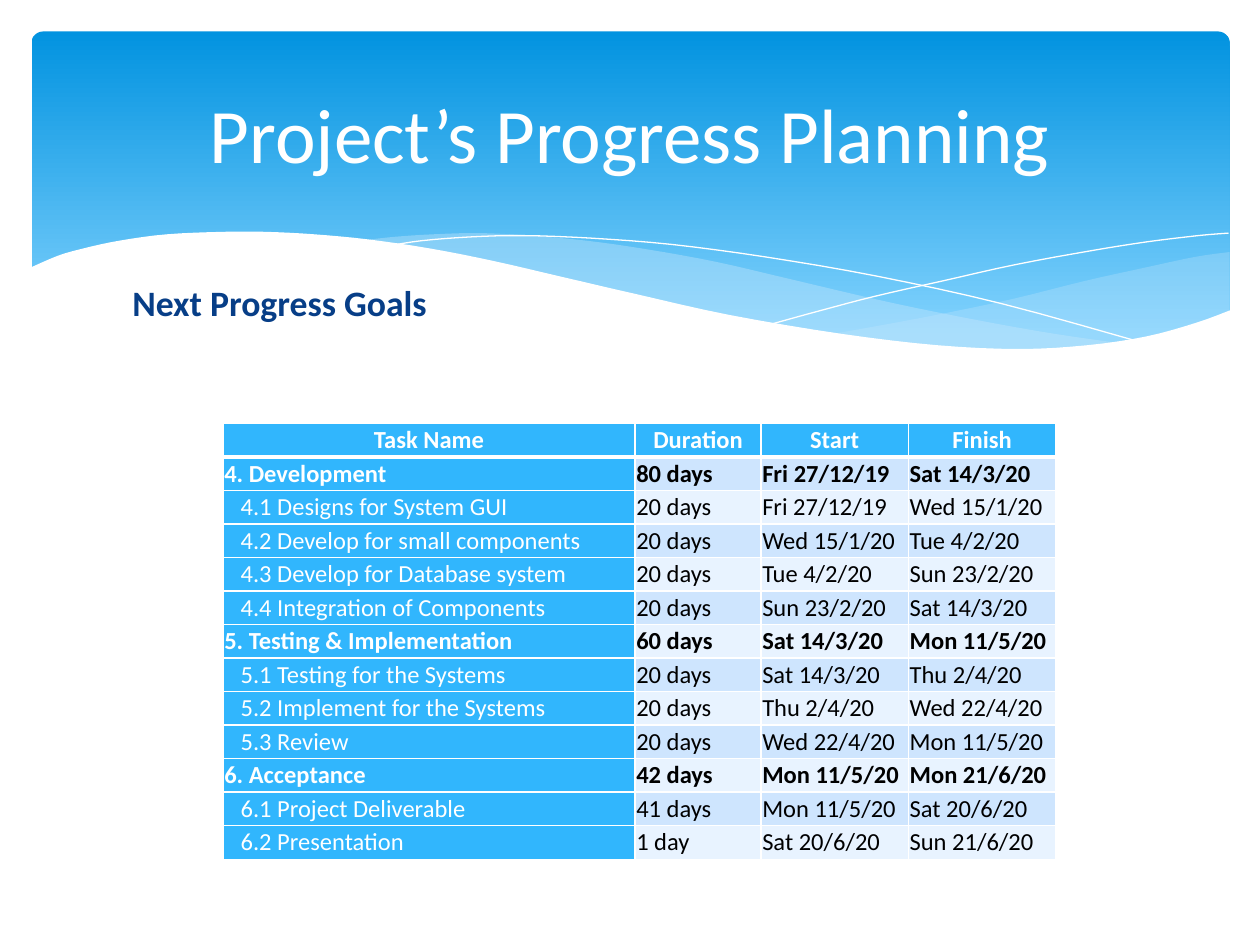
from dataclasses import dataclass
from typing import NamedTuple, Optional

from lxml.etree import SubElement
from pptx import Presentation
from pptx.dml.color import RGBColor
from pptx.enum.shapes import MSO_SHAPE as Preset
from pptx.enum.text import MSO_ANCHOR as Anchor, MSO_AUTO_SIZE as AutoSize, PP_ALIGN as Align
from pptx.oxml.ns import qn
from pptx.util import Inches, Pt

FONT = "Calibri"
COLORS = {
    "white": "FFFFFF", "black": "000000", "navy": "073E87", "accent": "31B6FD",
    "band_dark": "CEE5FE", "band_light": "E8F3FF",
    "sky_top": "0293E0", "sky_bottom": "83D3FE", "wave": "C6E7FC",
}
Point = tuple[float, float]


@dataclass
class Wave:
    """Smooth curves joined by straight edges; filled waves are closed."""
    curves: list[list[Point]]
    fill: Optional[str] = None
    alpha: int = 100


class Task(NamedTuple):
    name: str
    duration: str
    start: str
    finish: str
    is_phase: bool = False


WAVES = [
    Wave([[(9.76, 2), (9.48, 2.04), (9.06, 2.13), (8.61, 2.23), (8.05, 2.37),
           (7.53, 2.48), (7.06, 2.57), (6.61, 2.65)],
          [(6.61, 2.65), (7.05, 2.71), (7.45, 2.75), (7.81, 2.77), (8.14, 2.78),
           (8.54, 2.76), (8.89, 2.72), (9.21, 2.65), (9.49, 2.57), (9.76, 2.47)]],
         "wave", 29),
    Wave([[(8.93, 2.73), (8.37, 2.65), (7.75, 2.54), (7.06, 2.4), (6.29, 2.22),
           (5.69, 2.08), (5.14, 1.98), (4.65, 1.91), (4.2, 1.87), (3.8, 1.85),
           (3.44, 1.86), (3.13, 1.88), (2.86, 1.91)],
          [(2.86, 1.91), (3.42, 1.99), (4.04, 2.11), (4.49, 2.22), (5.3, 2.4),
           (6.01, 2.55), (6.5, 2.64), (6.95, 2.7), (7.36, 2.75), (7.73, 2.77),
           (8.07, 2.78), (8.48, 2.77), (8.93, 2.73)]],
         "wave", 40),
    Wave([[(3.09, 1.95), (3.35, 1.91), (3.74, 1.88), (4.16, 1.87), (4.69, 1.89),
           (5.33, 1.94), (6.08, 2.04), (6.95, 2.19), (7.95, 2.41), (9.07, 2.72)]]),
    Wave([[(6.13, 2.57), (6.53, 2.46), (6.95, 2.35), (7.48, 2.23), (8.06, 2.1),
           (8.66, 1.99), (9.1, 1.92), (9.51, 1.87), (9.75, 1.85)]]),
    Wave([[(9.77, 2.46), (9.5, 2.56), (9.1, 2.67), (8.63, 2.74), (8.09, 2.77),
           (7.44, 2.74), (6.68, 2.65), (5.79, 2.5), (5.03, 2.33), (4.47, 2.2),
           (3.91, 2.07), (3.4, 1.97), (2.92, 1.9), (2.5, 1.86), (2.11, 1.84),
           (1.77, 1.84), (1.32, 1.86), (0.95, 1.91), (0.67, 1.97), (0.46, 2.03),
           (0.23, 2.13)],
          [(0.23, 3.29), (9.77, 3.29)]],
         "white"),
]

HEADINGS = Task("Task Name", "Duration", "Start", "Finish", True)
TASKS = [
    Task("4. Development", "80 days", "Fri 27/12/19", "Sat 14/3/20", True),
    Task("4.1 Designs for System GUI", "20 days", "Fri 27/12/19", "Wed 15/1/20"),
    Task("4.2 Develop for small components", "20 days", "Wed 15/1/20", "Tue 4/2/20"),
    Task("4.3 Develop for Database system", "20 days", "Tue 4/2/20", "Sun 23/2/20"),
    Task("4.4 Integration of Components", "20 days", "Sun 23/2/20", "Sat 14/3/20"),
    Task("5. Testing & Implementation", "60 days", "Sat 14/3/20", "Mon 11/5/20", True),
    Task("5.1 Testing for the Systems", "20 days", "Sat 14/3/20", "Thu 2/4/20"),
    Task("5.2 Implement for the Systems", "20 days", "Thu 2/4/20", "Wed 22/4/20"),
    Task("5.3 Review", "20 days", "Wed 22/4/20", "Mon 11/5/20"),
    Task("6. Acceptance", "42 days", "Mon 11/5/20", "Mon 21/6/20", True),
    Task("6.1 Project Deliverable", "41 days", "Mon 11/5/20", "Sat 20/6/20"),
    Task("6.2 Presentation", "1 day", "Sat 20/6/20", "Sun 21/6/20"),
]
COLUMN_WIDTHS = [3.27, 1, 1.17, 1.17]


def color(name: str) -> RGBColor:
    return RGBColor.from_string(COLORS[name])


def smooth(knots: list[Point], steps: int = 4) -> list[Point]:
    """Points of a Catmull-Rom curve through the knots."""
    if len(knots) < 3:
        return knots
    padded = [knots[0], *knots, knots[-1]]
    points = [knots[0]]
    for a, b, c, d in zip(padded, padded[1:], padded[2:], padded[3:]):
        for step in range(1, steps + 1):
            t = step / steps
            x, y = (0.5 * (2 * q + (r - p) * t + (2 * p - 5 * q + 4 * r - s) * t ** 2
                           + (3 * q - p - 3 * r + s) * t ** 3)
                    for p, q, r, s in zip(a, b, c, d))
            points.append((x, y))
    return points


def draw_wave(page, wave: Wave) -> None:
    points = [(Inches(x), Inches(y)) for curve in wave.curves for x, y in smooth(curve)]
    builder = page.shapes.build_freeform(*points[0])
    builder.add_line_segments(points[1:], close=wave.fill is not None)
    shape = builder.convert_to_shape()
    shape.shadow.inherit = False
    if wave.fill is None:
        shape.fill.background()
        shape.line.color.rgb = color("white")
        shape.line.width = Pt(0)
        return
    shape.line.fill.background()
    shape.fill.solid()
    shape.fill.fore_color.rgb = color(wave.fill)
    if wave.alpha < 100:
        tint = next(shape._element.spPr.iter(qn("a:srgbClr")))
        SubElement(tint, qn("a:alpha"), val=str(wave.alpha * 1000))


def draw_banner(page) -> None:
    banner = page.shapes.add_shape(Preset.ROUNDED_RECTANGLE, Inches(0.25), Inches(0.25),
                                   Inches(9.51), Inches(2.7))
    banner.adjustments[0] = 0.034
    banner.shadow.inherit = False
    banner.line.fill.background()
    banner.fill.gradient()
    banner.fill.gradient_angle = 270
    for stop, name, position in zip(banner.fill.gradient_stops,
                                    ("sky_top", "sky_bottom"), (0, 0.9)):
        stop.color.rgb = color(name)
        stop.position = position


def write(para, text: str, size: float, name: str, bold: bool = False) -> None:
    span = para.add_run()
    span.text = text
    span.font.name = FONT
    span.font.size = Pt(size)
    span.font.bold = bold
    span.font.color.rgb = color(name)


def place(box, left: float, top: float, width: float, height: float, anchor: Anchor) -> None:
    """Move a placeholder and bring it to the front."""
    box.left, box.top, box.width, box.height = map(Inches, (left, top, width, height))
    box.text_frame.auto_size = AutoSize.NONE
    box.text_frame.vertical_anchor = anchor
    box._element.getparent().append(box._element)


def set_borders(cell, top: float, bottom: float) -> None:
    for side, width in zip("LRTB", (1, 1, top, bottom)):
        line = SubElement(cell._tc.get_or_add_tcPr(), qn(f"a:ln{side}"), w=str(Pt(width)))
        fill = SubElement(line, qn("a:solidFill"))
        SubElement(fill, qn("a:srgbClr"), val=COLORS["white"])


def draw_table(page) -> None:
    rows = [HEADINGS, *TASKS]
    table = page.shapes.add_table(len(rows), len(COLUMN_WIDTHS), Inches(1.77), Inches(3.36),
                                  Inches(sum(COLUMN_WIDTHS)), Inches(3.46)).table
    for column, width in zip(table.columns, COLUMN_WIDTHS):
        column.width = Inches(width)
    for i, task in enumerate(rows):
        for j, text in enumerate(task[:4]):
            cell = table.cell(i, j)
            accented = i == 0 or j == 0
            set_borders(cell, 3 if i == 1 else 1, 3 if i == 0 else 1)
            cell.fill.solid()
            band = "band_dark" if i % 2 else "band_light"
            cell.fill.fore_color.rgb = color("accent" if accented else band)
            cell.vertical_anchor = Anchor.MIDDLE
            cell.margin_right = cell.margin_top = cell.margin_bottom = Inches(0.01)
            cell.margin_left = Inches(0.01 if task.is_phase or j else 0.14)
            para = cell.text_frame.paragraphs[0]
            para.alignment = Align.CENTER if i == 0 else Align.LEFT
            write(para, text, 14, "white" if accented else "black", task.is_phase)


def main() -> None:
    deck = Presentation()
    deck.slide_width, deck.slide_height = Inches(10), Inches(7.5)
    page = deck.slides.add_slide(deck.slide_layouts[1])

    # Banner with waves
    draw_banner(page)
    for wave in WAVES:
        draw_wave(page, wave)

    # Title
    title = page.shapes.title
    place(title, 0.5, 0.37, 9, 1.37, Anchor.MIDDLE)
    para = title.text_frame.paragraphs[0]
    para.alignment = Align.CENTER
    write(para, "Project’s Progress Planning", 44, "white")

    # Schedule
    draw_table(page)

    # Subheading
    body = page.placeholders[1]
    place(body, 0.95, 2.18, 8.1, 0.39, Anchor.TOP)
    para = body.text_frame.paragraphs[0]
    properties = para._p.get_or_add_pPr()
    properties.set("marL", "0")
    properties.set("indent", "0")
    SubElement(properties, qn("a:buNone"))
    write(para, "Next Progress Goals", 20.4, "navy", True)

    deck.save("out.pptx")


if __name__ == "__main__":
    main()
